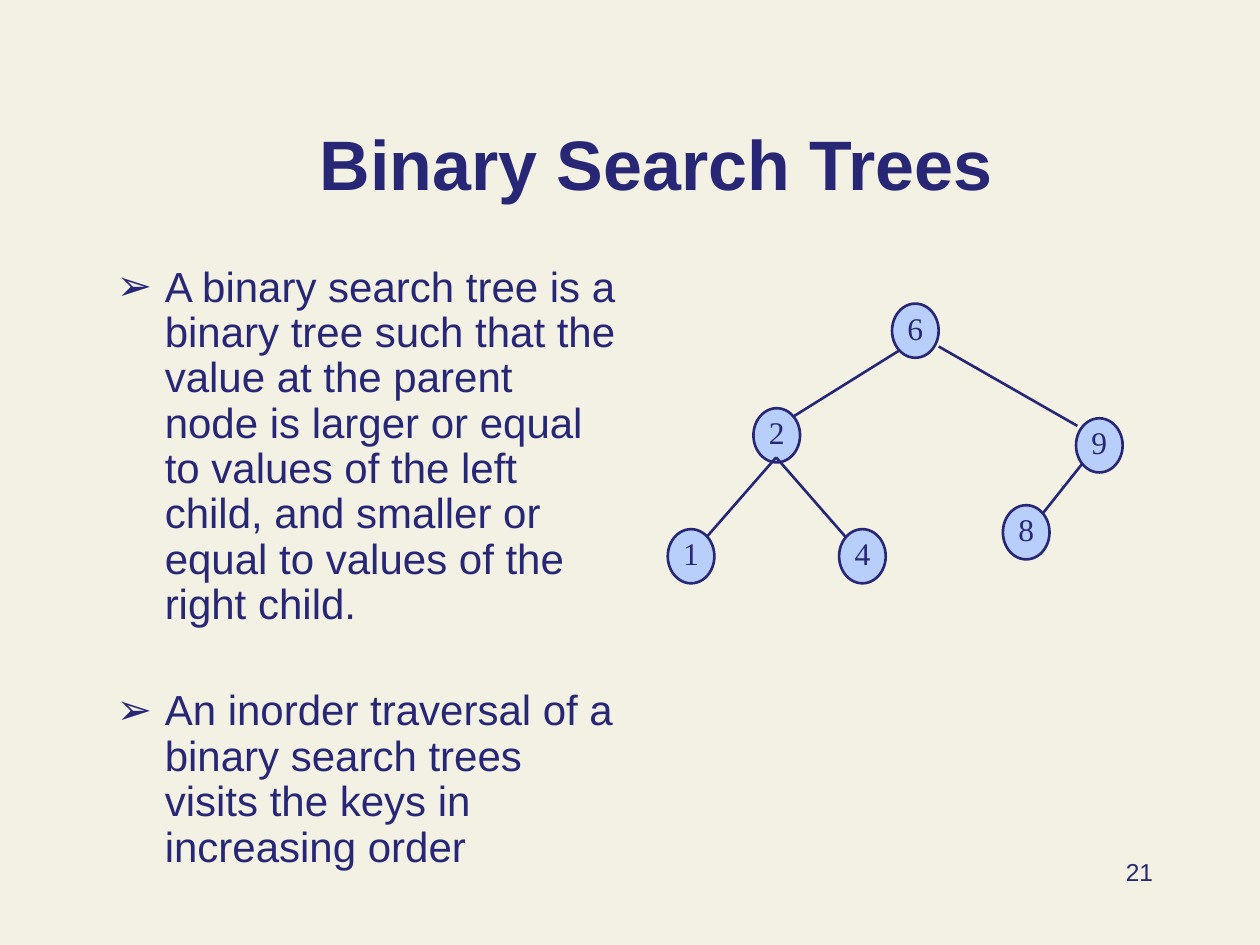
from lxml import etree
from pptx import Presentation
from pptx.dml.color import RGBColor
from pptx.enum.shapes import MSO_CONNECTOR, MSO_SHAPE
from pptx.enum.text import MSO_ANCHOR, PP_ALIGN
from pptx.oxml.ns import qn
from pptx.util import Inches, Pt

NAVY = RGBColor(0x27, 0x27, 0x76)
PALE_BLUE = RGBColor(0xB8, 0xCF, 0xFB)
CREAM = RGBColor(0xF3, 0xF1, 0xE4)
OVAL = MSO_SHAPE.OVAL
STRAIGHT = MSO_CONNECTOR.STRAIGHT
TOP, MIDDLE, BOTTOM = MSO_ANCHOR.TOP, MSO_ANCHOR.MIDDLE, MSO_ANCHOR.BOTTOM
LEFT, CENTER, RIGHT = PP_ALIGN.LEFT, PP_ALIGN.CENTER, PP_ALIGN.RIGHT

NODE_WIDTH, NODE_HEIGHT = 0.37, 0.43

TEXTS = [
    ((1, 0.42, 8.41, 1.25), BOTTOM, CENTER, {"size": Pt(40), "bold": True},
     ["Binary Search Trees"]),
    ((0.83, 2.06, 4.17, 5), TOP, LEFT, {"size": Pt(24), "bold": False}, [
        "A binary search tree is a binary tree such that the value at the parent "
        "node is larger or equal to values of the left child, and smaller or "
        "equal to values of the right child.",
        "An inorder traversal of a binary search trees visits the keys in "
        "increasing order",
    ]),
    ((7.17, 6.75, 2.08, 0.5), TOP, RIGHT, {"size": Pt(14), "bold": False}, ["21"]),
]
INNER_NODES = [("6", 7.08, 2.41), ("9", 8.54, 3.32), ("2", 5.98, 3.24), ("4", 6.66, 4.2)]
FRONT_NODES = [("1", 5.3, 4.2), ("8", 7.96, 4.01)]
EDGES = [
    (7.14, 2.78, 6.29, 3.31),
    (8.55, 3.38, 7.45, 2.75),
    (8.28, 4.07, 8.59, 3.68),
    (5.61, 4.26, 6.16, 3.63),
    (6.71, 4.26, 6.16, 3.63),
]


def write_span(para, text, font_values):
    span = para.add_run()
    span.text = text
    span.font.color.rgb = NAVY
    for name, value in font_values.items():
        setattr(span.font, name, value)


def add_nodes(tree, nodes):
    for key, left, top in nodes:
        node = tree.shapes.add_shape(
            OVAL, Inches(left), Inches(top), Inches(NODE_WIDTH), Inches(NODE_HEIGHT))
        node.shadow.inherit = False
        node.fill.solid()
        node.fill.fore_color.rgb = PALE_BLUE
        node.line.color.rgb = NAVY
        node.line.width = Pt(1.5)
        frame = node.text_frame
        frame_values = {"margin_left": 0, "margin_right": 0, "margin_top": 0,
                        "margin_bottom": Inches(0.05), "vertical_anchor": MIDDLE,
                        "word_wrap": False}
        for name, value in frame_values.items():
            setattr(frame, name, value)
        para = frame.paragraphs[0]
        para.alignment = CENTER
        write_span(para, key, {"name": "Times New Roman", "size": Pt(18)})


deck = Presentation()
deck.slide_width, deck.slide_height = Inches(10), Inches(7.5)
page = deck.slides.add_slide(deck.slide_layouts[6])
page.background.fill.solid()
page.background.fill.fore_color.rgb = CREAM

for place, anchor, alignment, font_values, texts in TEXTS:
    box = page.shapes.add_textbox(*[Inches(length) for length in place])
    frame = box.text_frame
    frame.word_wrap = True
    frame.vertical_anchor = anchor
    for index, text in enumerate(texts):
        para = frame.add_paragraph() if index else frame.paragraphs[0]
        para.alignment = alignment
        write_span(para, text, {"name": "Arial", **font_values})
        if len(texts) > 1:
            para.line_spacing = 0.9
            para.space_before = Pt(35 * index)
            properties = para._p.get_or_add_pPr()
            properties.set("marL", str(Inches(0.38)))
            properties.set("indent", str(Inches(-0.38)))
            bullet_color = etree.SubElement(properties, qn("a:buClr"))
            etree.SubElement(bullet_color, qn("a:srgbClr"), val=str(NAVY))
            etree.SubElement(properties, qn("a:buFont"), typeface="Arial")
            etree.SubElement(properties, qn("a:buChar"), char="➢")

tree = page.shapes.add_group_shape()
add_nodes(tree, INNER_NODES)
for ends in EDGES:
    edge = tree.shapes.add_connector(STRAIGHT, *[Inches(length) for length in ends])
    edge.line.color.rgb = NAVY
    edge.line.width = Pt(1.5)
    etree.SubElement(edge._element.spPr, qn("a:effectLst"))
add_nodes(tree, FRONT_NODES)

deck.save("out.pptx")
